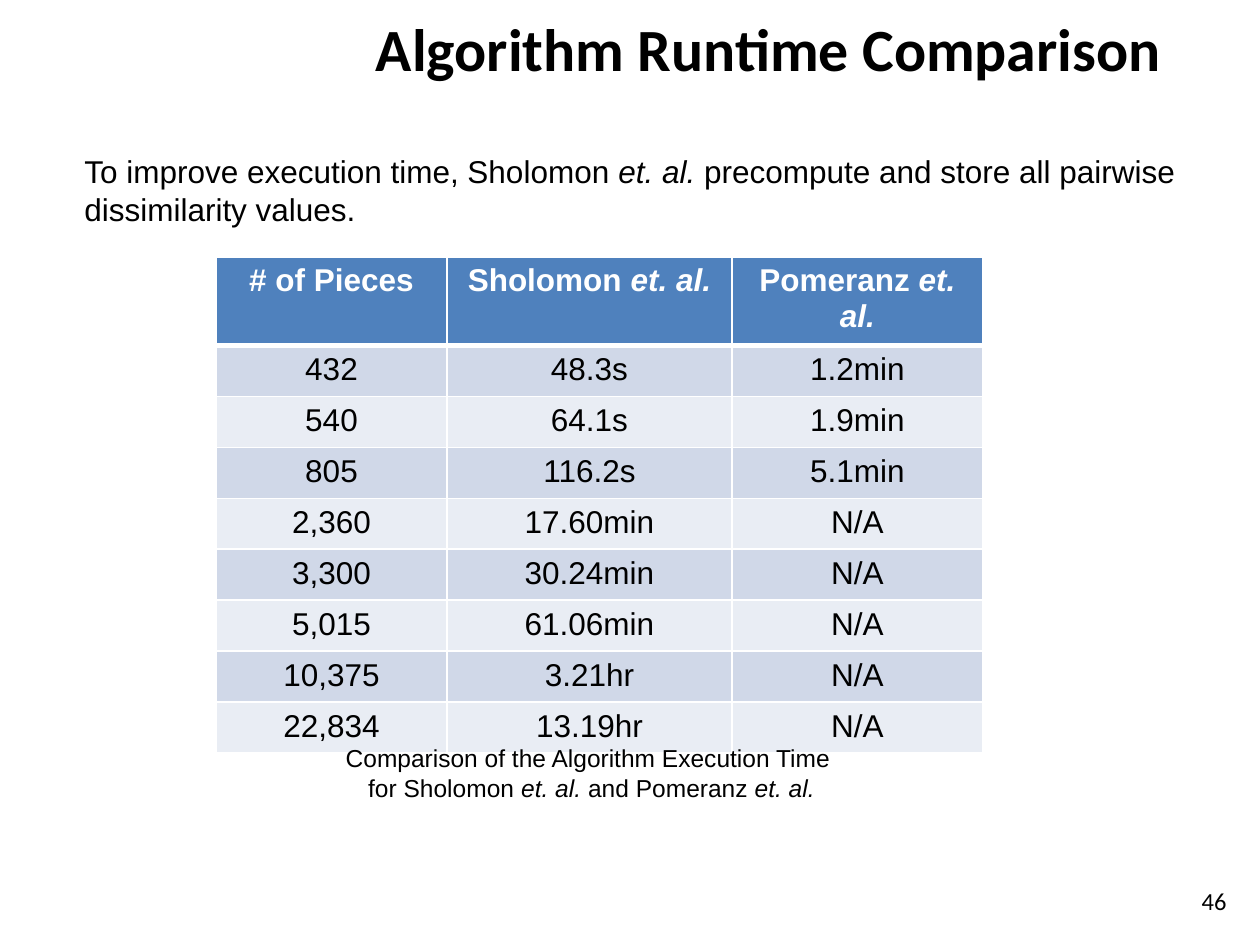
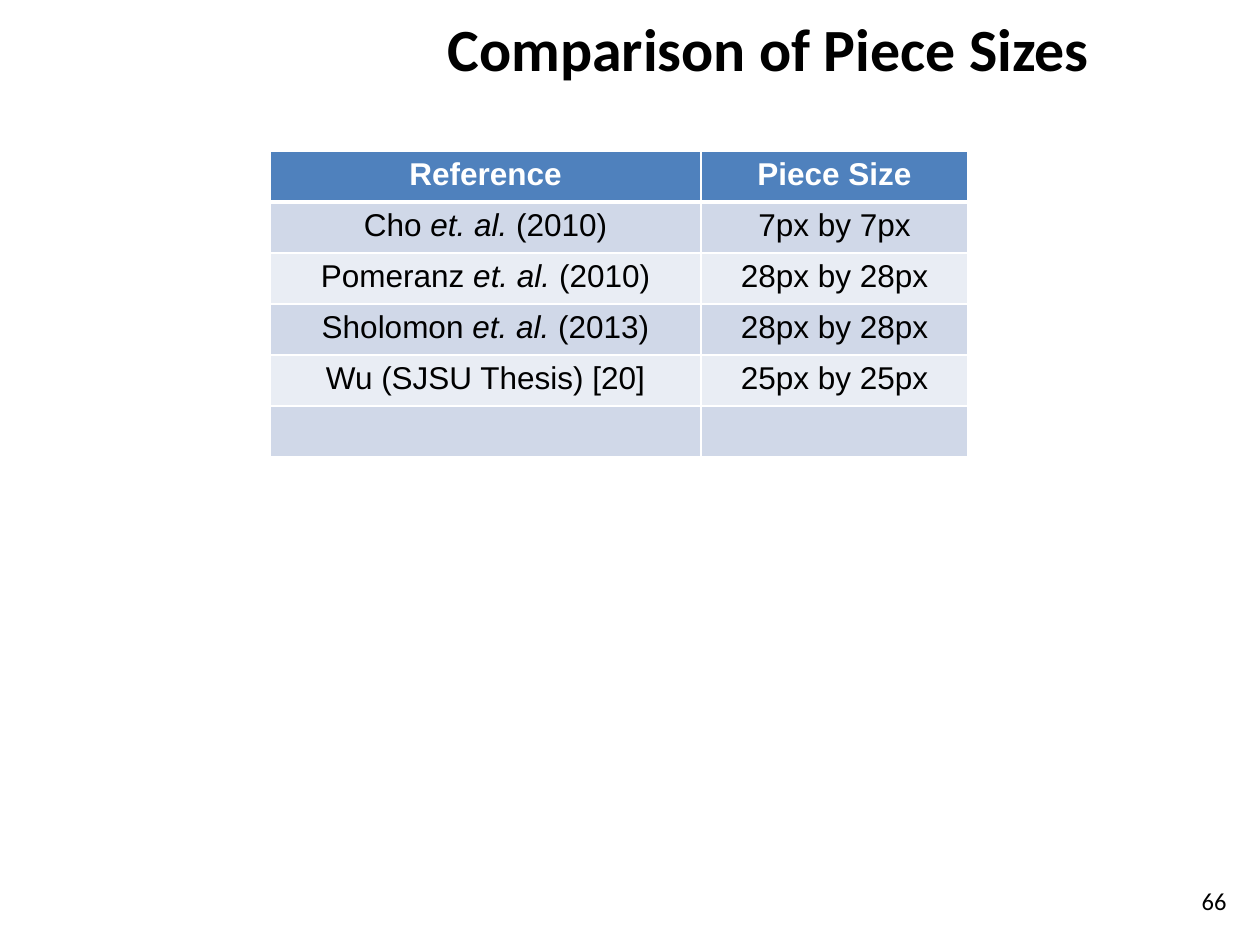
from lxml.etree import SubElement
from pptx import Presentation
from pptx.dml.color import RGBColor
from pptx.enum.text import MSO_ANCHOR as Anchor, PP_ALIGN as Align
from pptx.oxml.ns import qn
from pptx.util import Pt

EMU_PER_PX = 914400 // 126
SLIDE_SIZE = (1260, 945)
BLACK, WHITE = "000000", "FFFFFF"
HEADER_FILL = "4F81BD"
BAND_FILLS = ("D0D8E8", "E9EDF4")
BODY_FONT, TITLE_FONT = "Arial", "Calibri"
BODY_SIZE, SMALL_SIZE, TITLE_SIZE = 18, 14, 34.2
TITLE_BOX = (297, 10, 943, 76)
NUMBER_BOX = (1105, 876, 134, 50)
ROW_HEIGHT = 51
THIN, THICK = 1, 3

# Text between asterisks is italic.
SLIDES = [
    {
        "title": "Algorithm Runtime Comparison",
        "number": "46",
        "table": {
            "corner": (216, 257),
            "columns": (231, 285, 251),
            "rows": [
                ("# of Pieces", "Sholomon *et. al.*", "Pomeranz *et. al.*"),
                ("432", "48.3s", "1.2min"),
                ("540", "64.1s", "1.9min"),
                ("805", "116.2s", "5.1min"),
                ("2,360", "17.60min", "N/A"),
                ("3,300", "30.24min", "N/A"),
                ("5,015", "61.06min", "N/A"),
                ("10,375", "3.21hr", "N/A"),
                ("22,834", "13.19hr", "N/A"),
            ],
        },
        "texts": [
            {
                "box": (241, 737, 701, 72),
                "lines": ["Comparison of the Algorithm Execution Time ",
                          "for Sholomon *et. al. *and Pomeranz *et. al.*"],
                "size": SMALL_SIZE,
                "align": Align.CENTER,
            },
            {
                "box": (72, 146, 1122, 89),
                "lines": ["To improve execution time, Sholomon *et. al. *"
                          "precompute and store all pairwise dissimilarity values."],
            },
        ],
    },
    {
        "title": "Comparison of Piece Sizes",
        "number": "66",
        "table": {
            "corner": (270, 151),
            "columns": (431, 267),
            "rows": [
                ("Reference", "Piece Size"),
                ("Cho *et. al. *(2010)", "7px by 7px"),
                ("Pomeranz *et. al. *(2010)", "28px by 28px"),
                ("Sholomon *et. al. *(2013)", "28px by 28px"),
                ("Wu (SJSU Thesis) [20]", "25px by 25px"),
                ("", ""),
            ],
        },
        "texts": [],
    },
]


def px(length):
    return length * EMU_PER_PX


def rgb(value):
    return RGBColor.from_string(value)


def write_line(paragraph, line, size=BODY_SIZE, font=BODY_FONT, color=BLACK,
               bold=False, align=Align.LEFT):
    paragraph.alignment = align
    paragraph.font.size = Pt(size)
    for index, part in enumerate(line.split("*")):
        if part:
            run = paragraph.add_run()
            run.text = part
            run.font.size = Pt(size)
            run.font.name = font
            run.font.bold = bold
            run.font.italic = index % 2 == 1
            run.font.color.rgb = rgb(color)


def add_text(slide, box, lines, anchor=Anchor.TOP, **style):
    frame = slide.shapes.add_textbox(*map(px, box)).text_frame
    frame.word_wrap = True
    frame.vertical_anchor = anchor
    for index, line in enumerate(lines):
        paragraph = frame.add_paragraph() if index else frame.paragraphs[0]
        write_line(paragraph, line, **style)


def add_borders(cell, top, bottom):
    """Draw white cell borders; must run before the cell gets its fill."""
    properties = cell._tc.get_or_add_tcPr()
    for side, width in (("L", THIN), ("R", THIN), ("T", top), ("B", bottom)):
        line = SubElement(properties, qn(f"a:ln{side}"), w=str(Pt(width)))
        fill = SubElement(line, qn("a:solidFill"))
        SubElement(fill, qn("a:srgbClr"), val=WHITE)


def add_table(slide, corner, columns, rows):
    size = (sum(columns), ROW_HEIGHT * len(rows))
    table = slide.shapes.add_table(len(rows), len(columns),
                                   *map(px, corner + size)).table
    for column, width in zip(table.columns, columns):
        column.width = px(width)
    for row_index, row in enumerate(rows):
        header = row_index == 0
        table.rows[row_index].height = px(ROW_HEIGHT)
        for column_index, text in enumerate(row):
            cell = table.cell(row_index, column_index)
            add_borders(cell, top=THICK if row_index == 1 else THIN,
                        bottom=THICK if header else THIN)
            cell.fill.solid()
            cell.fill.fore_color.rgb = rgb(
                HEADER_FILL if header else BAND_FILLS[(row_index - 1) % 2])
            write_line(cell.text_frame.paragraphs[0], text, bold=header,
                       color=WHITE if header else BLACK, align=Align.CENTER)


def add_slide(presentation, content):
    slide = presentation.slides.add_slide(presentation.slide_layouts[6])
    add_text(slide, TITLE_BOX, [content["title"]], Anchor.MIDDLE,
             size=TITLE_SIZE, font=TITLE_FONT, bold=True, align=Align.CENTER)
    add_table(slide, **content["table"])
    for text in content["texts"]:
        add_text(slide, **text)
    add_text(slide, NUMBER_BOX, [content["number"]], Anchor.MIDDLE,
             size=SMALL_SIZE, font=TITLE_FONT, align=Align.RIGHT)


def main():
    presentation = Presentation()
    presentation.slide_width, presentation.slide_height = map(px, SLIDE_SIZE)
    for content in SLIDES:
        add_slide(presentation, content)
    presentation.save("out.pptx")


if __name__ == "__main__":
    main()
